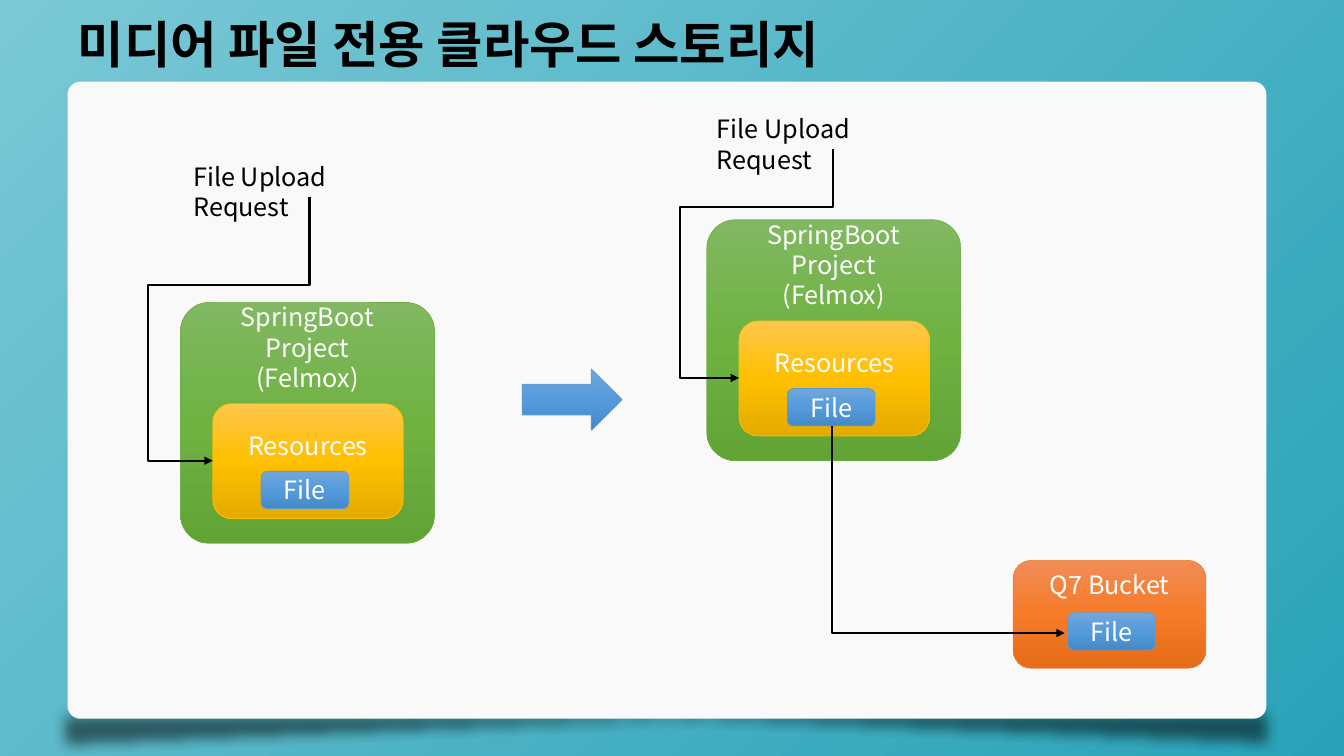
from copy import deepcopy

from pptx import Presentation, util as u
from pptx.dml.color import RGBColor
from pptx.enum import shapes, text
from pptx.oxml import ns, xmlchemy as x

# Grid: 133.3 columns by 75 rows, each a tenth of an inch
COLS, ROWS = 133.3, 75
FONT = "Noto Sans CJK KR"
LINE_HEIGHT = u.Pt(21.6)

BLACK = RGBColor(0, 0, 0)
WHITE = RGBColor(0xFF, 0xFF, 0xFF)
PANEL = RGBColor(0xF9, 0xF9, 0xF9)
SKY = [RGBColor(0x7A, 0xC8, 0xD5), RGBColor(0x29, 0xA2, 0xB7)]
# Three gradient stops, then the outline
GREEN = [RGBColor(0x81, 0xB8, 0x61), RGBColor(0x6F, 0xB2, 0x42),
         RGBColor(0x62, 0xA3, 0x36), RGBColor(0x70, 0xAD, 0x47)]
GOLD = [RGBColor(0xFF, 0xC6, 0x4B), RGBColor(0xFF, 0xC0, 0x00),
        RGBColor(0xE3, 0xAB, 0x00), RGBColor(0xFF, 0xC0, 0x00)]
BLUE = [RGBColor(0x71, 0xA6, 0xDB), RGBColor(0x55, 0x9B, 0xDB),
        RGBColor(0x44, 0x8A, 0xCA), RGBColor(0x5B, 0x9B, 0xD5)]
ORANGE = [RGBColor(0xF1, 0x8C, 0x57), RGBColor(0xF6, 0x7B, 0x28),
          RGBColor(0xE5, 0x6C, 0x19), RGBColor(0xED, 0x7D, 0x31)]

KIND = shapes.MSO_SHAPE
FILE_SIZE = (8.7, 3.7)


def grid(*cells):
    return [u.Inches(c / 10) for c in cells]


def add(parent, tag, **attrs):
    el = x.OxmlElement(tag)
    for name, value in attrs.items():
        el.set(name, str(value))
    parent.append(el)
    return el


def gradient(fill, colours, angle):
    fill.gradient()
    fill.gradient_angle = angle
    first = fill.gradient_stops[0]._gs
    for _ in colours[2:]:
        first.getparent().append(deepcopy(first))
    for i, (stop, colour) in enumerate(zip(fill.gradient_stops, colours)):
        stop.color.rgb = colour
        stop.position = i / (len(colours) - 1)


def write(tf, lines, colour, align, frame, size=18, bold=False, spacing=LINE_HEIGHT):
    for name, value in frame.items():
        setattr(tf, name, value)
    for i, line in enumerate(lines):
        p = tf.paragraphs[0] if i == 0 else tf.add_paragraph()
        p.alignment, p.line_spacing = align, spacing
        r = p.add_run()
        r.text = line
        for name, value in {"name": FONT, "size": u.Pt(size), "bold": bold}.items():
            setattr(r.font, name, value)
        r.font.color.rgb = colour
        add(r._r.get_or_add_rPr(), "a:ea", typeface=FONT)


def box(s, kind, at, colours, lines=(), adj=None, top=None):
    """Gradient shape; its text has a top inset of `top` rows, or is centred."""
    sp = s.shapes.add_shape(kind, *grid(*at))
    sp.shadow.inherit = False
    gradient(sp.fill, colours[:3], 270)
    sp.line.color.rgb, sp.line.width = colours[3], u.Pt(0.5)
    if adj is not None:
        sp.adjustments[0] = adj
    anchor = text.MSO_ANCHOR.MIDDLE if top is None else text.MSO_ANCHOR.TOP
    side = u.Inches(0.05 if top is None else 0.2)
    write(sp.text_frame, lines, WHITE, text.PP_ALIGN.CENTER, {
        "word_wrap": True, "vertical_anchor": anchor, "margin_bottom": 0,
        "margin_left": side, "margin_right": side,
        "margin_top": grid(top or 0)[0]})


def file_box(s, left, top):
    box(s, KIND.ROUNDED_RECTANGLE, (left, top, *FILE_SIZE), BLUE, ["File"])


def elbow(s, start, end, bend=None, lane=None):
    """Arrow that leaves downwards; bend is a row and lane a column to pass."""
    (x1, y1), (x2, y2) = start, end
    mid_x, mid_y = (x1 + x2) / 2, (y1 + y2) / 2
    half_w, half_h = (y2 - y1) / 2, abs(x2 - x1) / 2
    c = s.shapes.add_connector(shapes.MSO_CONNECTOR.ELBOW, *grid(
        mid_x - half_w, mid_y - half_h, mid_x + half_w, mid_y + half_h))
    c.line.color.rgb, c.line.width = BLACK, u.Pt(1.5)
    spPr = c._element.spPr
    add(spPr.find(ns.qn("a:ln")), "a:tailEnd", type="triangle")
    add(spPr, "a:effectLst")
    # A downward start is a quarter turn, mirrored when the arrow goes right
    spPr.xfrm.set("rot", str((90 if x2 < x1 else 270) * 60000))
    if x2 > x1:
        spPr.xfrm.set("flipH", "1")
    geom = spPr.find(ns.qn("a:prstGeom"))
    geom.set("prst", "bentConnector2" if bend is None else "bentConnector4")
    if bend is not None:
        shares = (bend - y1) / (y2 - y1), (lane - x1) / (x2 - x1)
        guides = geom.find(ns.qn("a:avLst"))
        for i, share in enumerate(shares, 1):
            add(guides, "a:gd", name=f"adj{i}", fmla=f"val {round(share * 100000)}")


def panel(s):
    # Soft shadows under the two lower corners
    for left, top, flips in ((6.5, 69.8, ("flipH", "flipV")), (5.4, 70, ("flipV",))):
        sp = s.shapes.add_shape(KIND.RIGHT_TRIANGLE, *grid(left, top, 120.2, 5))
        sp.shadow.inherit = False
        sp.line.fill.background()
        sp.fill.solid()
        sp.fill.fore_color.rgb = BLACK
        spPr = sp._element.spPr
        for flip in flips:
            spPr.xfrm.set(flip, "1")
        add(next(spPr.iter(ns.qn("a:srgbClr"))), "a:alpha", val=51000)
        add(spPr.find(ns.qn("a:effectLst")), "a:softEdge", rad=u.Inches(0.12))
    sp = s.shapes.add_shape(KIND.ROUNDED_RECTANGLE, *grid(6.7, 8.1, 118.9, 63.2))
    sp.shadow.inherit = False
    sp.adjustments[0] = 0.02
    sp.fill.solid()
    sp.fill.fore_color.rgb = PANEL
    sp.line.fill.background()


def upload_flow(s, left, top, request, bend, lane):
    """Server with its resources and file, and the request that reaches it."""
    box(s, KIND.ROUNDED_RECTANGLE, (left, top, 25.2, 23.9), GREEN,
        ["SpringBoot Project", "(Felmox)"], adj=0.12, top=-0.9)
    box(s, KIND.ROUNDED_RECTANGLE, (left + 3.2, top + 10.05, 18.9, 11.4), GOLD,
        ["Resources"], top=2.1)
    file_box(s, left + 8, top + 16.75)
    request_left, request_top = request
    tb = s.shapes.add_textbox(*grid(request_left, request_top, 17, 7))
    write(tb.text_frame, ["File Upload Request"], BLACK, text.PP_ALIGN.LEFT,
          {"word_wrap": True})
    elbow(s, (request_left + 12.5, request_top + 4), (left + 3.2, top + 15.7),
          bend, lane)


def main():
    prs = Presentation()
    prs.slide_width, prs.slide_height = grid(COLS, ROWS)
    s = prs.slides.add_slide(prs.slide_layouts[5])
    gradient(s.background.fill, SKY, 315)
    panel(s)

    # Title
    title = s.shapes.title
    title.left, title.top, title.width, title.height = grid(6.7, 0.8, 121.7, 7.1)
    write(title.text_frame, ["미디어 파일 전용 클라우드 스토리지"], BLACK,
          text.PP_ALIGN.LEFT,
          {"word_wrap": True, "vertical_anchor": text.MSO_ANCHOR.MIDDLE,
           "auto_size": text.MSO_AUTO_SIZE.NONE}, size=36, bold=True, spacing=1.0)

    # Before and after
    upload_flow(s, 17.9, 30, (18.2, 15.5), 28.3, 14.7)
    box(s, KIND.RIGHT_ARROW, (51.8, 36.6, 9.9, 6.1), BLUE)
    upload_flow(s, 70.1, 21.8, (70.1, 10.8), 20.5, 67.4)

    # Cloud storage
    box(s, KIND.ROUNDED_RECTANGLE, (100.5, 55.6, 19.1, 10.7), ORANGE,
        ["Q7 Bucket"], top=0.4)
    elbow(s, (82.5, 42.3), (105.6, 62.8))
    file_box(s, 105.9, 60.8)
    prs.save("out.pptx")


if __name__ == "__main__":
    main()
